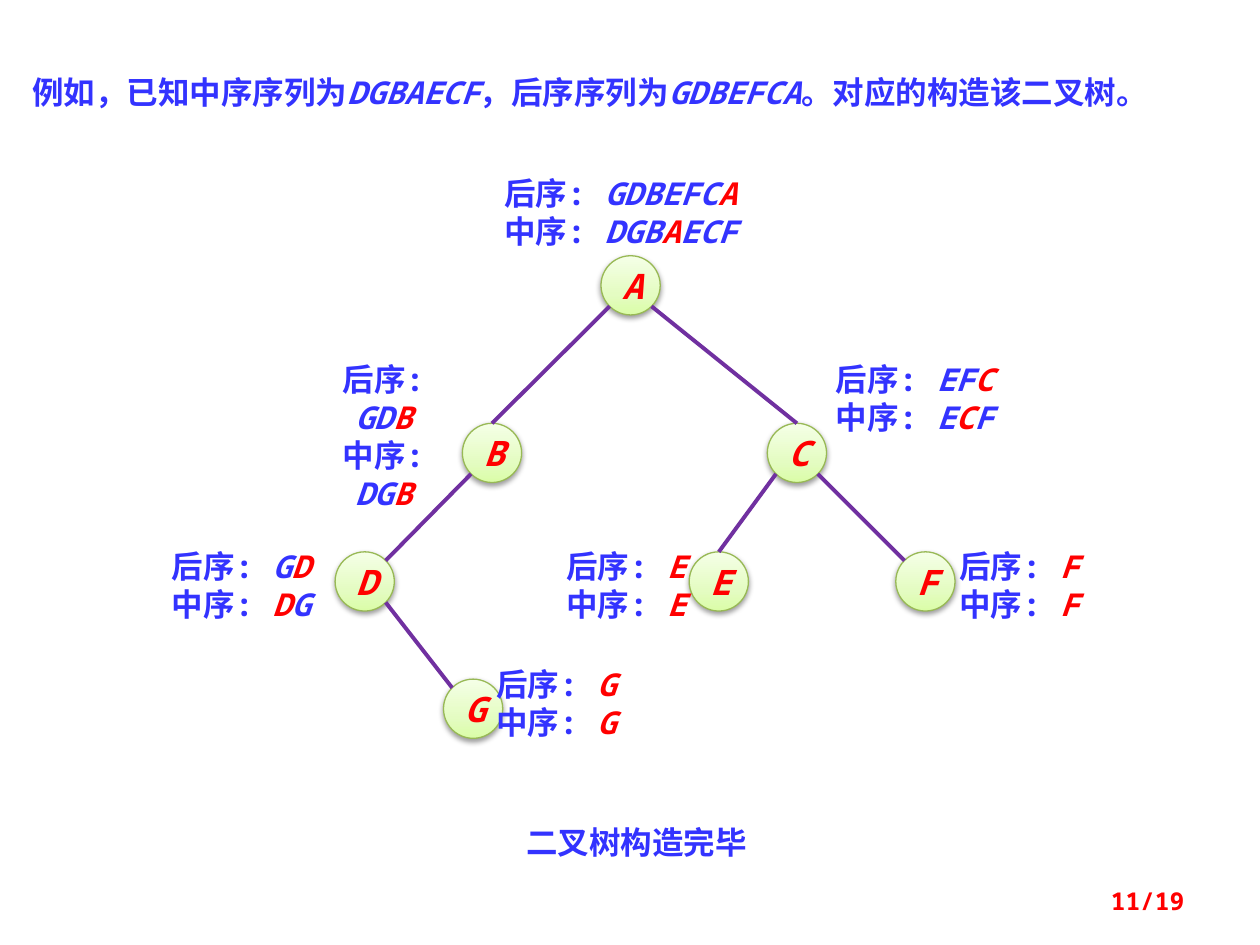
from math import sqrt

from lxml.etree import SubElement
from pptx import Presentation
from pptx.dml.color import RGBColor
from pptx.enum.shapes import MSO_CONNECTOR, MSO_SHAPE
from pptx.enum.text import MSO_ANCHOR, MSO_AUTO_SIZE, PP_ALIGN
from pptx.oxml import parse_xml
from pptx.oxml.ns import nsdecls, qn
from pptx.util import Inches, Pt

BLUE = RGBColor(0x33, 0x33, 0xFF)
RED = RGBColor(0xFF, 0, 0)
PURPLE = RGBColor(0x70, 0x30, 0xA0)
GREEN = RGBColor(0x98, 0xB9, 0x55)
STOPS = ((0, "DAFDA7"), (35, "E4FCC2"), (100, "F5FFE7"))
MONO, SANS = "Noto Sans Mono", "Noto Sans CJK SC"
SIZE = 0.47

PLAIN = {"name": MONO, "size": Pt(18), "bold": True, "italic": False}
SLANT = {**PLAIN, "italic": True}

# letter: left, top of the node
NODES = {
    "A": (4.77, 2.03), "B": (3.67, 3.36), "C": (6.09, 3.36),
    "E": (5.47, 4.38), "F": (7.11, 4.38), "D": (2.66, 4.38),
    "G": (3.52, 5.39),
}
# parent, child, side left at the parent (-1 left, 1 right), side met at
# the child (0 top)
EDGES = (
    ("A", "B", -1, 0), ("A", "C", 1, 0), ("B", "D", -1, 1),
    ("D", "G", 1, -1), ("C", "E", -1, 0), ("C", "F", 1, -1),
)
# root, postorder, inorder, left, top, width
ORDERS = (
    ("A", "GDBEFCA", "DGBAECF", 3.83, 1.33, 2.19),
    ("B", "GDB", "DGB", 2.34, 2.81, 1.41),
    ("C", "EFC", "ECF", 6.48, 2.81, 1.56),
    ("D", "GD", "DG", 1.25, 4.29, 1.33),
    ("G", "G", "G", 3.83, 5.23, 1.17),
    ("E", "E", "E", 4.39, 4.29, 1.16),
    ("F", "F", "F", 7.51, 4.29, 1.16),
)


def add_run(para, text, color, form):
    run = para.add_run()
    run.text = text
    for key, value in form.items():
        setattr(run.font, key, value)
    run.font.color.rgb = color
    SubElement(run.font._element, qn("a:ea"), typeface=form["name"])


def add_text(slide, box, lines, align=PP_ALIGN.CENTER):
    """Add a text box; each line is a list of (text, color, form)."""
    frame = slide.shapes.add_textbox(*map(Inches, box)).text_frame
    frame.word_wrap = True
    frame.auto_size = MSO_AUTO_SIZE.SHAPE_TO_FIT_TEXT
    for i, line in enumerate(lines):
        para = frame.add_paragraph() if i else frame.paragraphs[0]
        para.alignment = align
        for part in line:
            add_run(para, *part)
    return frame


def add_order(slide, root, post, mid, left, top, width):
    """Add both orders of a subtree, with its root in red."""
    lines = []
    for label, order in (("后序: ", post), ("中序: ", mid)):
        before, hit, after = order.partition(root)
        parts = ((before, BLUE), (hit, RED), (after, BLUE))
        lines.append([(label, BLUE, PLAIN)]
                     + [(text, color, SLANT) for text, color in parts if text])
    add_text(slide, (left, top, width, 0.71), lines)


def add_node(slide, name, left, top):
    node = slide.shapes.add_shape(
        MSO_SHAPE.OVAL, *map(Inches, (left, top, SIZE, SIZE)))
    stops = "".join(f'<a:gs pos="{pos * 1000}"><a:srgbClr val="{color}"/></a:gs>'
                    for pos, color in STOPS)
    props = node._element.spPr
    props.insert(2, parse_xml(
        f'<a:gradFill {nsdecls("a")} rotWithShape="1"><a:gsLst>{stops}</a:gsLst>'
        '<a:lin ang="16200000" scaled="0"/></a:gradFill>'))
    node.line.color.rgb = GREEN
    node.line.width = Pt(0.75)
    props.append(parse_xml(
        f'<a:effectLst {nsdecls("a")}><a:outerShdw blurRad="{Pt(3.1)}" '
        f'dist="{Pt(1.6)}" dir="5400000" rotWithShape="0">'
        '<a:srgbClr val="000000"><a:alpha val="38000"/></a:srgbClr>'
        '</a:outerShdw></a:effectLst>'))
    frame = node.text_frame
    frame.vertical_anchor = MSO_ANCHOR.MIDDLE
    para = frame.paragraphs[0]
    para.alignment = PP_ALIGN.CENTER
    add_run(para, name, RED, {**SLANT, "size": Pt(20)})


def rim(name, side, down):
    """Return a point on a node's rim: its middle or a diagonal."""
    left, top = NODES[name]
    half = SIZE / 2
    reach = half / sqrt(2) if side else half
    return left + half + side * reach, top + half + down * reach


def add_edge(slide, parent, child, out, into):
    ends = rim(parent, out, 1) + rim(child, into, -1)
    edge = slide.shapes.add_connector(
        MSO_CONNECTOR.STRAIGHT, *map(Inches, ends))
    edge.line.color.rgb = PURPLE
    edge.line.width = Pt(2.25)
    SubElement(edge._element.spPr, qn("a:effectLst"))


def main():
    deck = Presentation()
    deck.slide_width, deck.slide_height = Inches(10), Inches(7.5)
    slide = deck.slides.add_slide(deck.slide_layouts[6])

    title = add_text(slide, (0.16, 0.47, 9.73, 0.43), [[
        ("例如，已知中序序列为", BLUE, PLAIN), ("DGBAECF", BLUE, SLANT),
        ("，后序序列为", BLUE, PLAIN), ("GDBEFCA", BLUE, SLANT),
        ("。对应的构造该二叉树。", BLUE, PLAIN),
    ]], PP_ALIGN.LEFT)
    title.paragraphs[0].line_spacing = 1.2
    add_text(slide, (3.75, 6.48, 2.6, 0.4),
             [[("二叉树构造完毕", BLUE, {**PLAIN, "name": SANS})]])

    for name, spot in NODES.items():
        add_node(slide, name, *spot)
    for edge in EDGES:
        add_edge(slide, *edge)
    for order in ORDERS:
        add_order(slide, *order)

    page = add_text(slide, (7.17, 6.95, 2.33, 0.4),
                    [[("11/19", RED, {**PLAIN, "size": Pt(14)})]],
                    PP_ALIGN.RIGHT)
    page.auto_size = MSO_AUTO_SIZE.NONE
    page.vertical_anchor = MSO_ANCHOR.MIDDLE
    deck.save("out.pptx")


if __name__ == "__main__":
    main()
